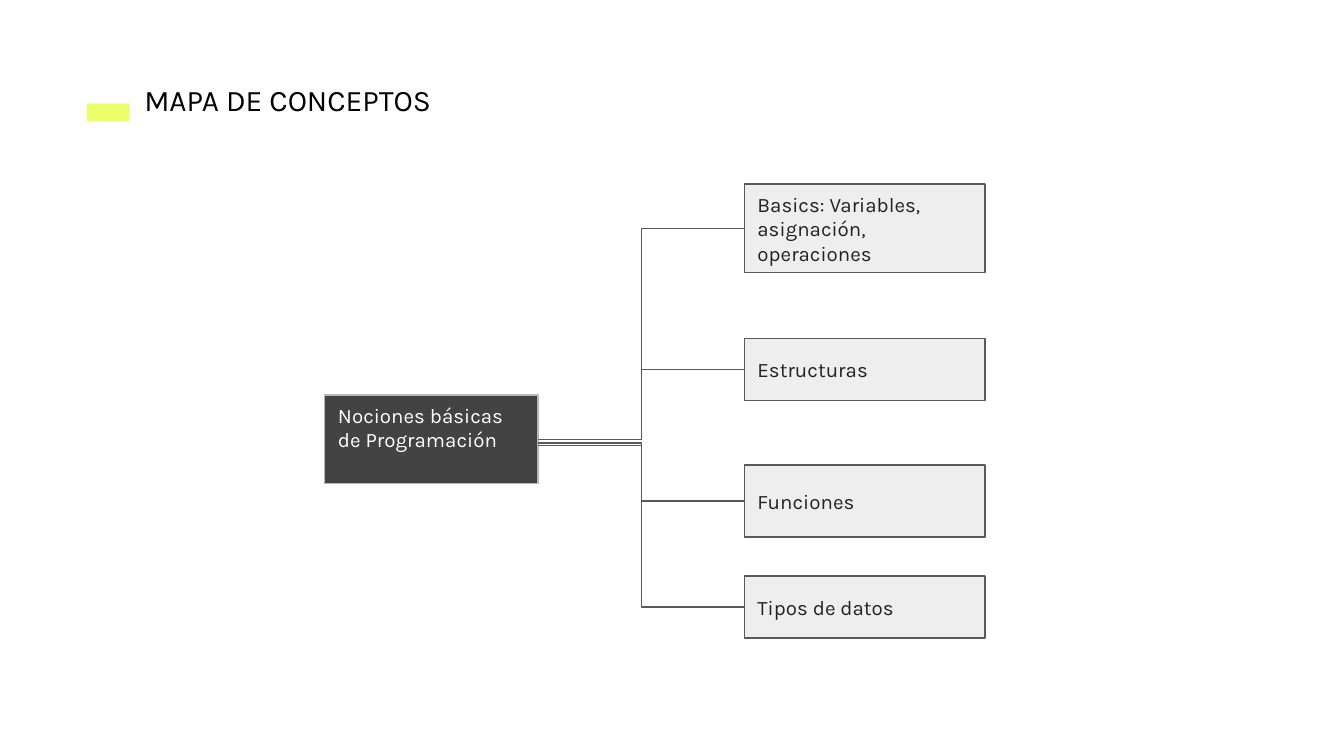
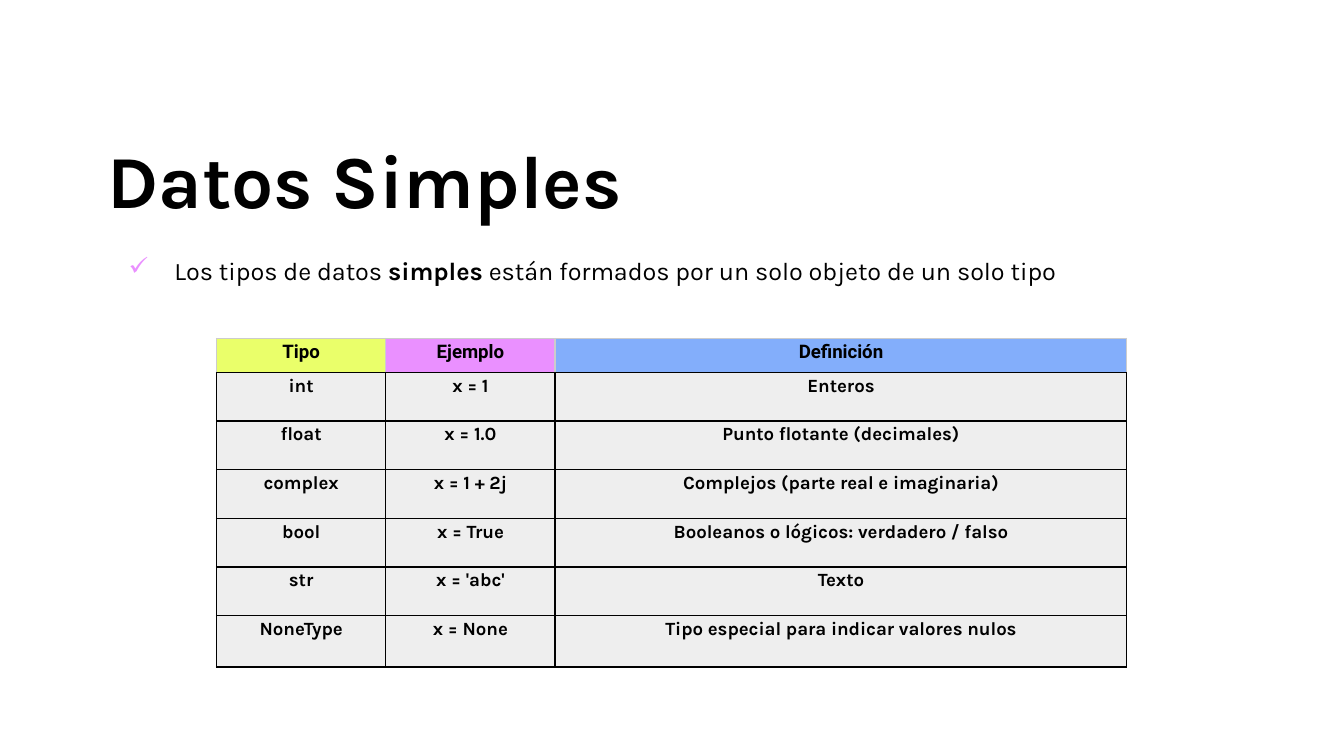
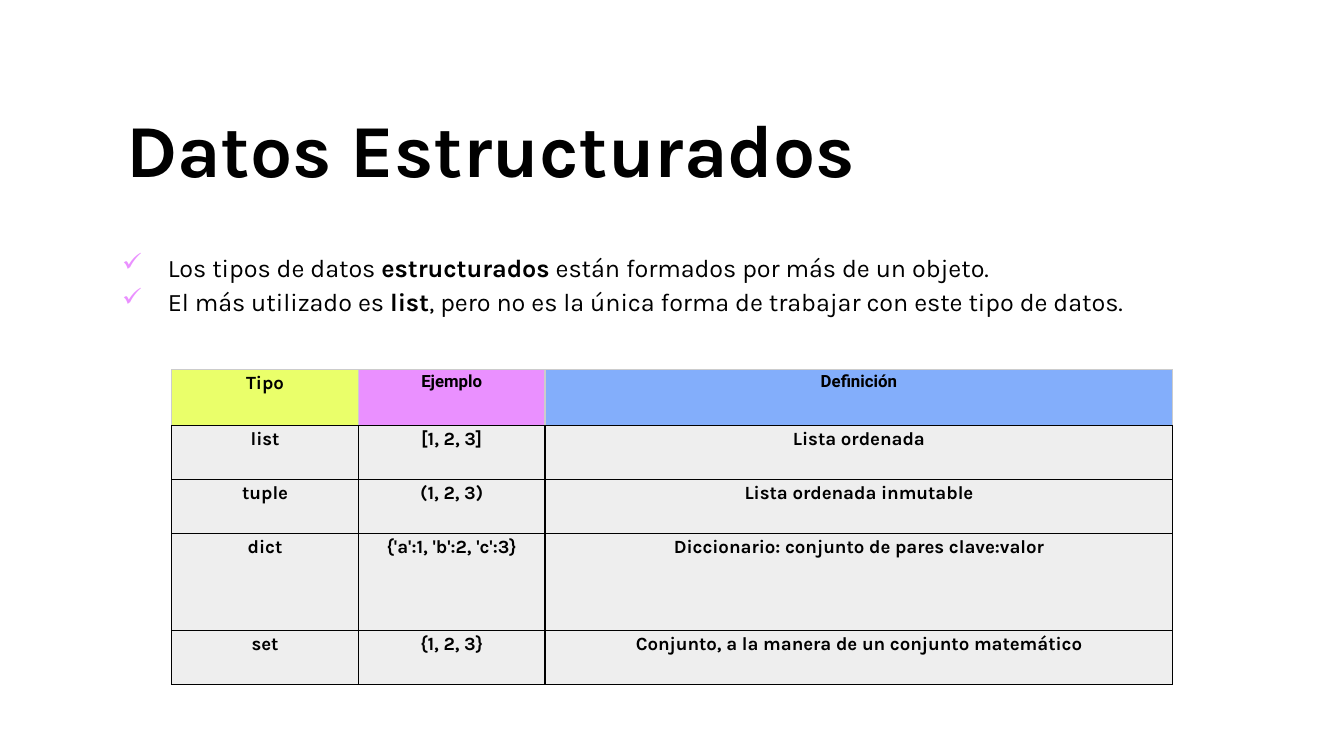
from lxml import etree
from pptx import Presentation
from pptx.dml.color import RGBColor
from pptx.enum import shapes, text
from pptx.oxml import ns
from pptx.util import Pt

LIME, PINK, BLUE = "EAFF6A", "EA90FF", "83AEFB"
BLACK, WHITE, DARK, INK = "000000", "FFFFFF", "434343", "222222"
PALE, GRAY, SILVER, LIGHT = "EEEEEE", "595959", "B7B7B7", "CCCCCC"
BODY_FONT, HEADER_FONT = "Karla", "Roboto"
LINE_WIDTH = 0.75
INSET = 7.2
BULLET_INDENT, BULLET_HANG = 36, 24.5


def color(hex_string):
    return RGBColor.from_string(hex_string)


def element(parent, tag, **attributes):
    return etree.SubElement(parent, ns.qn(tag), **attributes)


def format_runs(paragraph, size, hex_string, bold=False, font=BODY_FONT):
    for run in paragraph.runs:
        run.font.name = font
        run.font.size = Pt(size)
        run.font.bold = bold
        run.font.color.rgb = color(hex_string)


def set_frame(frame, anchor, top_inset=INSET):
    frame.word_wrap = True
    frame.vertical_anchor = anchor
    frame.margin_left = frame.margin_right = frame.margin_bottom = Pt(INSET)
    frame.margin_top = Pt(top_inset)


def add_text_box(slide, box, anchor=text.MSO_ANCHOR.TOP, top_inset=INSET):
    frame = slide.shapes.add_textbox(*map(Pt, box)).text_frame
    set_frame(frame, anchor, top_inset)
    return frame


def add_rectangle(slide, box, fill, line=None):
    shape = slide.shapes.add_shape(shapes.MSO_SHAPE.RECTANGLE, *map(Pt, box))
    shape.shadow.inherit = False
    shape.fill.solid()
    shape.fill.fore_color.rgb = color(fill)
    if line:
        shape.line.color.rgb = color(line)
        shape.line.width = Pt(LINE_WIDTH)
    else:
        shape.line.fill.background()
    return shape


# Concept map

def add_map_heading(slide, left, top, words):
    add_rectangle(slide, (left, top + 18.7, 23, 9.4), LIME)
    frame = add_text_box(slide, (left + 23.8, top, 193.7, 33.8))
    frame.text = words
    format_runs(frame.paragraphs[0], 16, BLACK)


def add_concept(slide, box, words, fill, line, ink,
                anchor=text.MSO_ANCHOR.MIDDLE, top_inset=INSET):
    frame = add_rectangle(slide, box, fill, line).text_frame
    set_frame(frame, anchor, top_inset)
    frame.text = words
    frame.paragraphs[0].alignment = text.PP_ALIGN.LEFT
    format_runs(frame.paragraphs[0], 11, ink)


def add_branch_line(slide, start, end):
    connector = slide.shapes.add_connector(
        shapes.MSO_CONNECTOR.ELBOW, *map(Pt, start + end))
    connector.line.color.rgb = color(GRAY)
    connector.line.width = Pt(LINE_WIDTH)
    element(connector.element.spPr, "a:effectLst")


def add_concept_map(slide, left, top, root, branches):
    root_top, root_width, branch_left = 113, 114.3, 224.7
    add_concept(slide, (left, top + root_top, root_width, 47.5), root,
                DARK, SILVER, WHITE, text.MSO_ANCHOR.TOP, 4)
    for words, offset, height, line_offset in branches:
        box = (left + branch_left, top + offset, 129, height)
        add_concept(slide, box, words, PALE, GRAY, INK)
        add_branch_line(slide, (left + root_width, top + line_offset),
                        (box[0], box[1] + height / 2))


# Data type slides

def add_title(slide, box, words):
    frame = add_text_box(slide, box)
    frame.text = words
    frame.paragraphs[0].line_spacing = 0.9
    format_runs(frame.paragraphs[0], 40, BLACK, bold=True)


def add_bullets(slide, box, anchor, top_inset, items):
    """Each item holds the words before, in and after the bold part."""
    frame = add_text_box(slide, box, anchor, top_inset)
    for number, parts in enumerate(items):
        paragraph = frame.add_paragraph() if number else frame.paragraphs[0]
        paragraph.line_spacing = 1.15
        properties = paragraph._p.get_or_add_pPr()
        properties.set("marL", str(Pt(BULLET_INDENT)))
        properties.set("indent", str(-Pt(BULLET_HANG)))
        bullet_color = element(properties, "a:buClr")
        element(bullet_color, "a:srgbClr", val=PINK)
        element(properties, "a:buChar", char="✓")
        for part in parts:
            paragraph.add_run().text = part
        format_runs(paragraph, 13.5, BLACK)
        paragraph.runs[1].font.bold = True


def set_borders(cell, sides, bottom):
    properties = cell._tc.get_or_add_tcPr()
    for side in "LRTB":
        line = element(properties, "a:ln" + side, w=str(Pt(LINE_WIDTH)))
        fill = element(line, "a:solidFill")
        element(fill, "a:srgbClr", val=bottom if side == "B" else sides)


def fill_cell(cell, words, fill, sides, font, size):
    set_borders(cell, sides, BLACK)
    cell.fill.solid()
    cell.fill.fore_color.rgb = color(fill)
    cell.margin_left = cell.margin_right = Pt(2)
    cell.margin_top = cell.margin_bottom = Pt(1.4)
    cell.text = words
    paragraph = cell.text_frame.paragraphs[0]
    paragraph.alignment = text.PP_ALIGN.CENTER
    format_runs(paragraph, size, BLACK, True, font)


def add_type_table(slide, left, top, widths, heights, header_fonts, rows):
    frame = slide.shapes.add_table(
        len(heights), len(widths), Pt(left), Pt(top),
        Pt(sum(widths)), Pt(sum(heights)))
    table = frame.table
    table.first_row = table.horz_banding = False
    for column, width in zip(table.columns, widths):
        column.width = Pt(width)
    for row, height in zip(table.rows, heights):
        row.height = Pt(height)
    # Coloured header
    headers = zip(("Tipo", "Ejemplo", "Definición"),
                  (LIME, PINK, BLUE), header_fonts)
    for number, (words, fill, (font, size)) in enumerate(headers):
        fill_cell(table.cell(0, number), words, fill, LIGHT, font, size)
    # Types
    for row_number, row in enumerate(rows, 1):
        for number, words in enumerate(row):
            fill_cell(table.cell(row_number, number), words,
                      PALE, BLACK, BODY_FONT, 10)


def main():
    presentation = Presentation()
    presentation.slide_width, presentation.slide_height = Pt(720), Pt(405)
    map_slide, simple_slide, structured_slide = (
        presentation.slides.add_slide(presentation.slide_layouts[6])
        for _ in range(3))

    # Words, top, height and start of the line, all from the top of the map
    add_map_heading(map_slide, 46.4, 36.7, "MAPA DE CONCEPTOS")
    add_concept_map(map_slide, 174, 98.7, "Nociones básicas de Programación", [
        ("Basics: Variables, asignación, operaciones", 0, 47.5, 136.9),
        ("Estructuras", 82.5, 33.3, 136.9),
        ("Funciones", 150.5, 38.6, 140),
        ("Tipos de datos", 209.8, 33.3, 138.7),
    ])

    add_bullets(simple_slide, (50.4, 128.2, 579, 31),
                text.MSO_ANCHOR.MIDDLE, INSET, [
        ("Los tipos de datos ", "simples",
         " están formados por un solo objeto de un solo tipo"),
    ])
    add_type_table(
        simple_slide, 116, 181.3, (90.7, 90.7, 306.3),
        [18.2] + [26.1] * 5 + [27.4], [(HEADER_FONT, 10)] * 3, [
            ("int", "x = 1", "Enteros"),
            ("float", "x = 1.0", "Punto flotante (decimales)"),
            ("complex", "x = 1 + 2j", "Complejos (parte real e imaginaria)"),
            ("bool", "x = True", "Booleanos o lógicos: verdadero / falso"),
            ("str", "x = 'abc'", "Texto"),
            ("NoneType", "x = None",
             "Tipo especial para indicar valores nulos"),
        ])
    add_title(simple_slide, (50.4, 69.8, 409, 58.3), "Datos Simples")

    add_bullets(structured_slide, (46.8, 111.6, 563, 116),
                text.MSO_ANCHOR.TOP, 21, [
        ("Los tipos de datos ", "estructurados",
         " están formados por más de un objeto."),
        ("El más utilizado es ", "list",
         ", pero no es la única forma de trabajar con este tipo de datos."),
    ])
    add_type_table(
        structured_slide, 92, 198, (100, 100, 336.3),
        (30, 28.9, 28.9, 52.2, 28.9),
        [(BODY_FONT, 10), (HEADER_FONT, 9), (HEADER_FONT, 9)], [
            ("list", "[1, 2, 3]", "Lista ordenada"),
            ("tuple", "(1, 2, 3)", "Lista ordenada inmutable"),
            ("dict", "{'a':1, 'b':2, 'c':3}",
             "Diccionario: conjunto de pares clave:valor"),
            ("set", "{1, 2, 3}",
             "Conjunto, a la manera de un conjunto matemático"),
        ])
    add_title(structured_slide, (60.5, 53.3, 437, 58.3), "Datos Estructurados")

    presentation.save("out.pptx")


if __name__ == "__main__":
    main()
